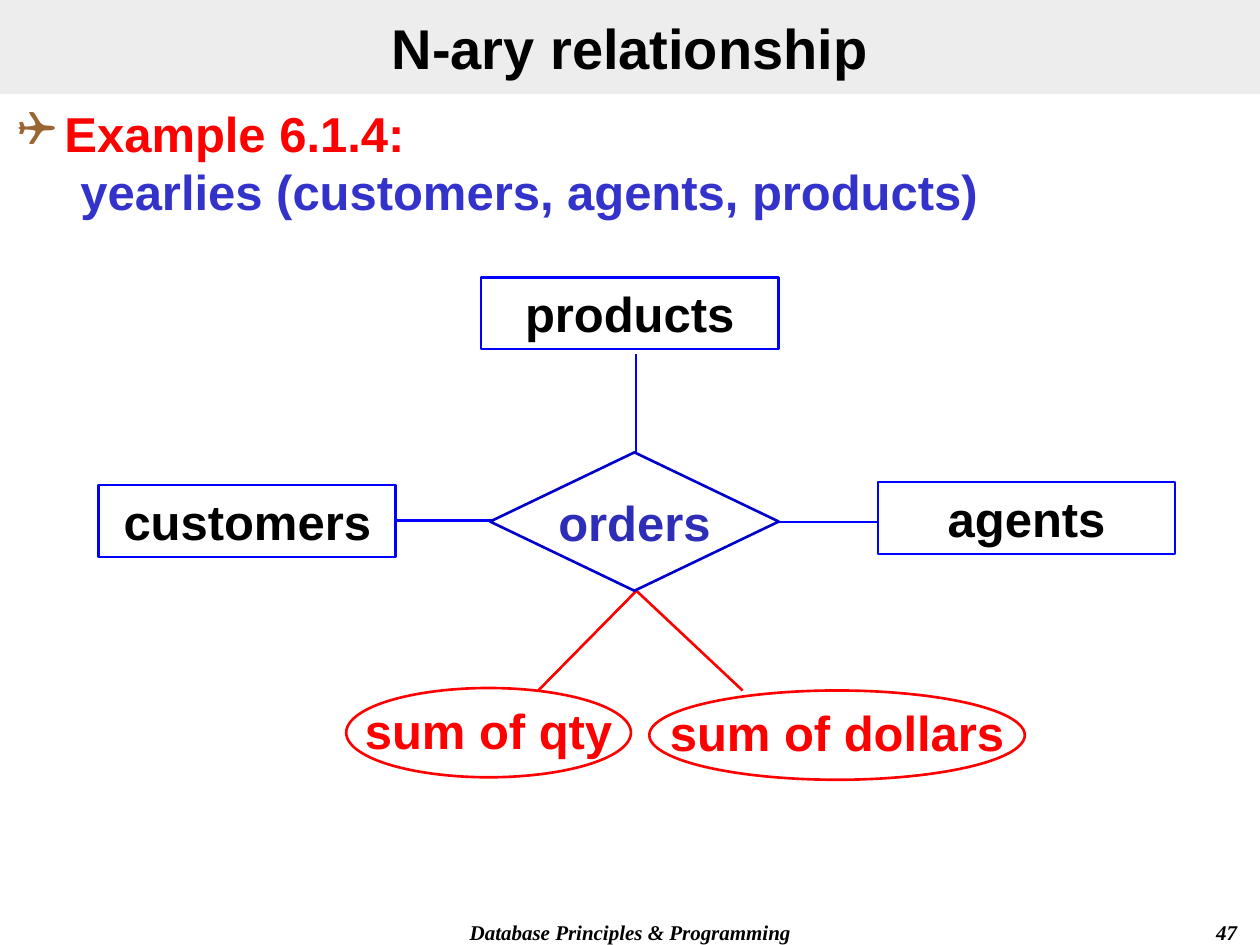
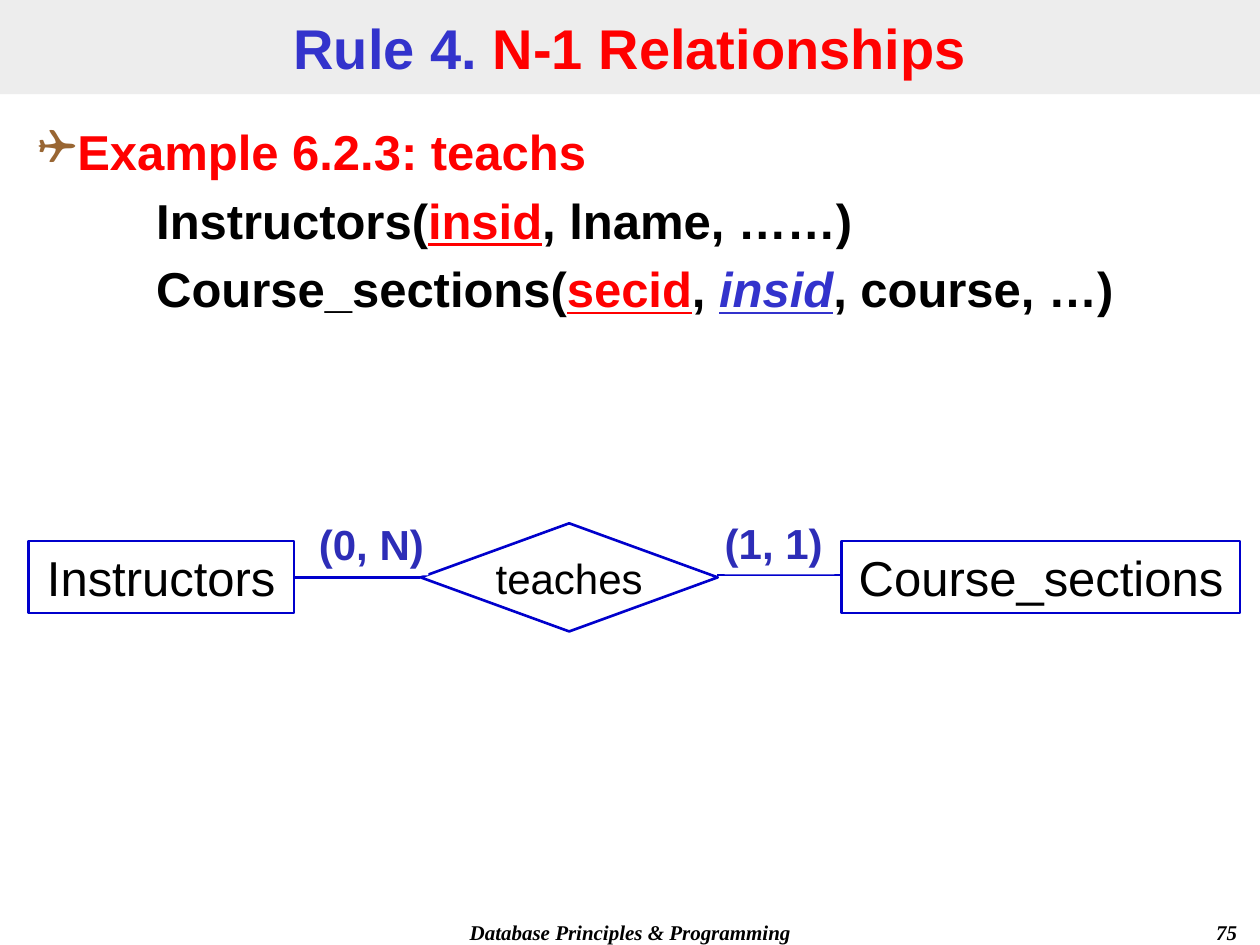
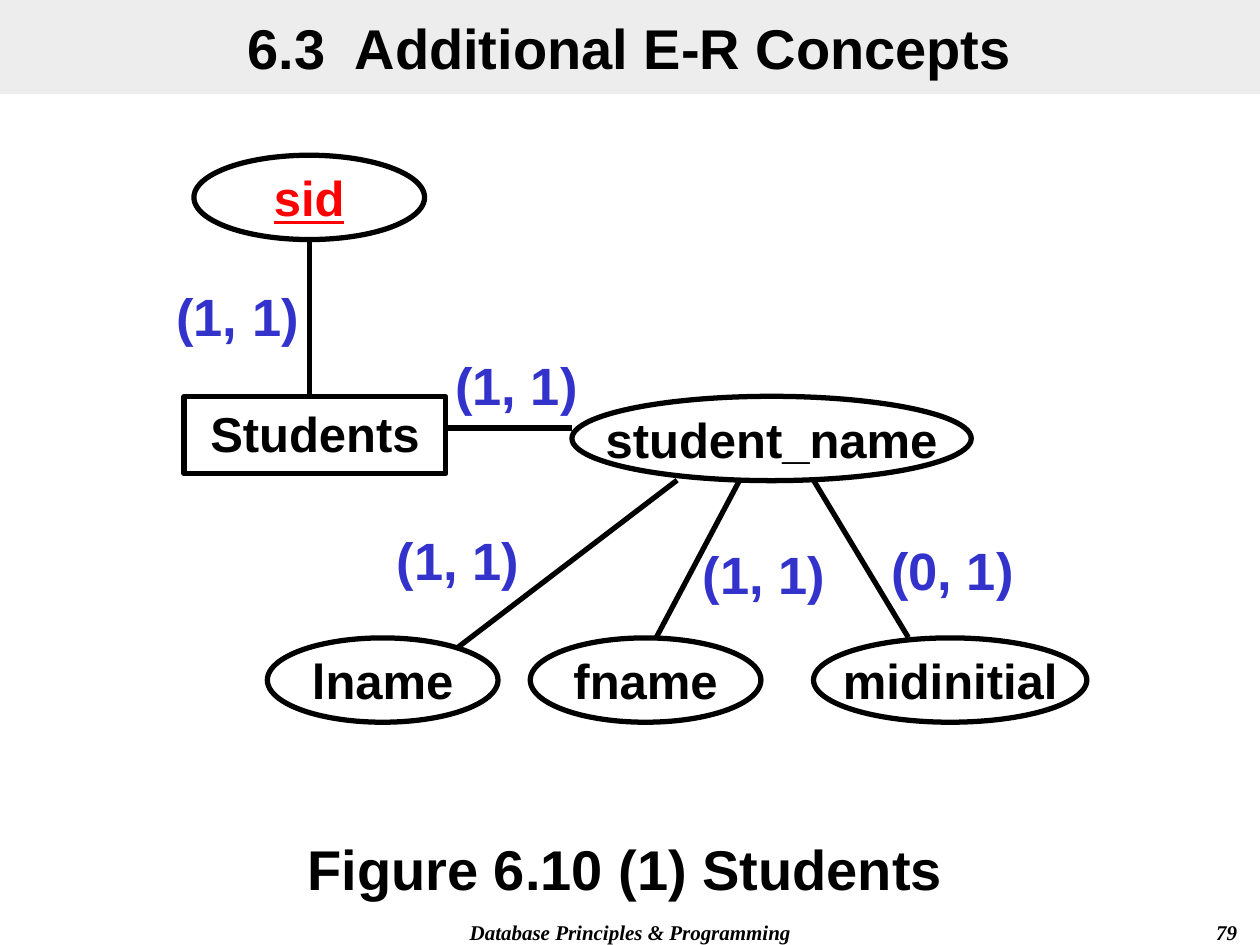
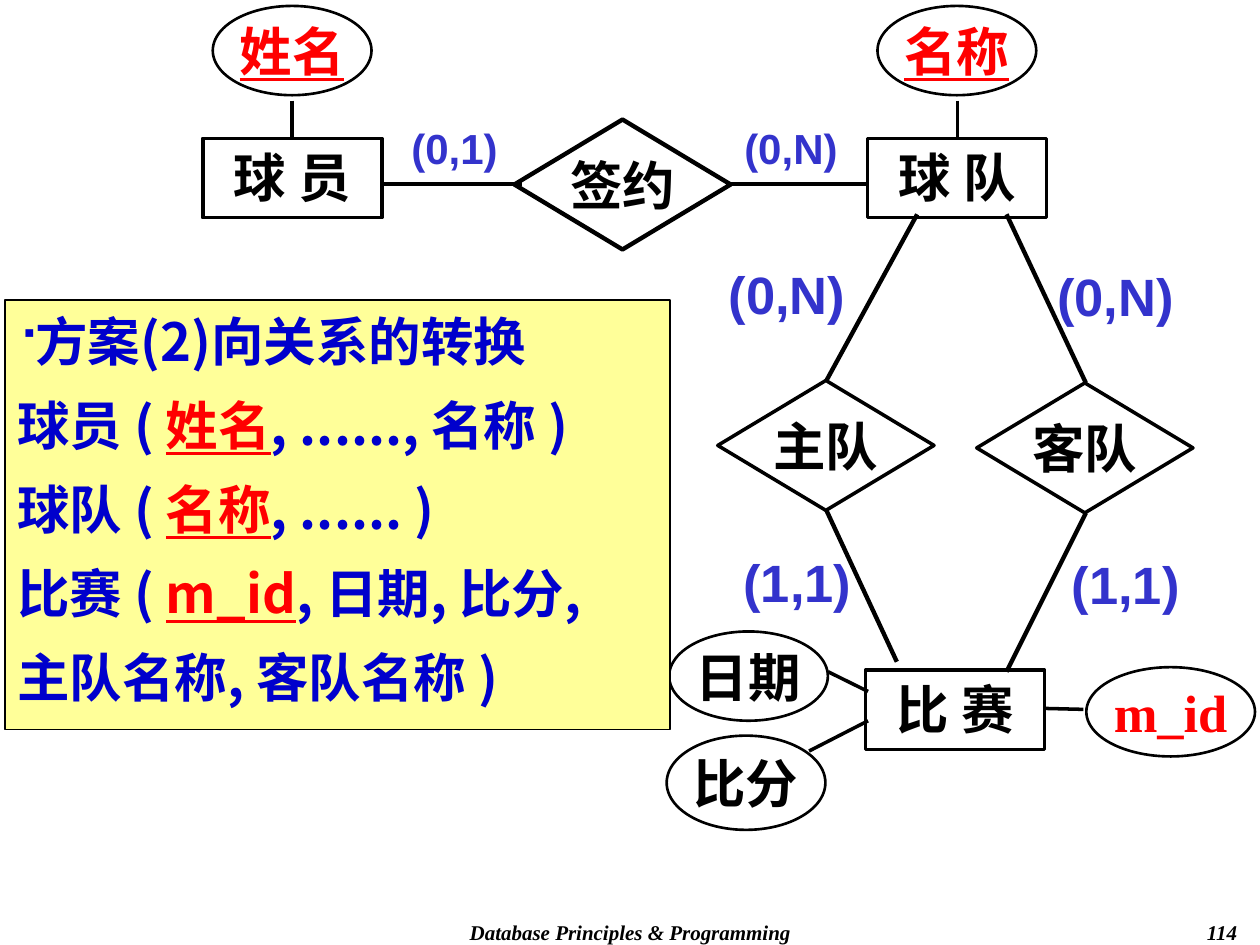
from dataclasses import dataclass, replace

from lxml.etree import SubElement
from pptx import Presentation
from pptx.dml.color import RGBColor
from pptx.enum.shapes import MSO_CONNECTOR, MSO_SHAPE as SHAPE
from pptx.enum.text import MSO_ANCHOR as ANCHOR, PP_ALIGN as ALIGN
from pptx.oxml.ns import qn
from pptx.util import Cm, Pt

BLACK = RGBColor(0x00, 0x00, 0x00)
WHITE = RGBColor(0xFF, 0xFF, 0xFF)
RED = RGBColor(0xFF, 0x00, 0x00)
BLUE = RGBColor(0x00, 0x00, 0xFF)
NAVY = RGBColor(0x00, 0x00, 0xCC)
INDIGO = RGBColor(0x33, 0x33, 0xCC)
VIOLET = RGBColor(0x2D, 0x2D, 0xB7)
BROWN = RGBColor(0x99, 0x66, 0x33)
GREY = RGBColor(0xDD, 0xDD, 0xDD)
YELLOW = RGBColor(0xFF, 0xFF, 0x99)

SANS, SERIF, CJK = "Arial", "Times New Roman", "Noto Sans CJK SC"
BULLET_FONT = "Wingdings"
FOOTER = "Database Principles & Programming"
NO_INSET = (0, 0, 0)


@dataclass(frozen=True)
class Style:
    """Look and size (cm) of one kind of box; preset None means a text box."""
    width: float
    height: float
    preset: object = None
    line: object = None
    weight: float = 1.5
    fill: object = None
    alpha: int = 100
    size: int = 28
    color: object = BLACK
    font: str = SANS
    bold: bool = True
    italic: bool = False
    underline: bool = False
    align: object = ALIGN.CENTER
    anchor: object = ANCHOR.MIDDLE
    wrap: bool = False
    inset: tuple = (0.25, 0.13, 0.13)  # sides, top, bottom


@dataclass(frozen=True)
class Line:
    """One paragraph: its runs, each (text, changes to the style), and its indents."""
    runs: list
    left: float = 0
    first: float = 0
    before: float = 0
    bullet: str = ""
    bullet_color: object = None


TITLE = Style(25.4, 1.9, SHAPE.RECTANGLE, fill=GREY, alpha=50, size=32)
FOOT = Style(11, 0.64, size=12, font=SERIF, italic=True, anchor=ANCHOR.TOP)
NUMBER = replace(FOOT, width=5.28, align=ALIGN.RIGHT)
BODY = Style(25.2, 2.64, align=ALIGN.LEFT, anchor=ANCHOR.TOP, wrap=True)
KEY = {"color": RED, "underline": True}

# Orders: a relationship of three entities
ENTITY = Style(5.99, 1.45, SHAPE.RECTANGLE, BLUE)
ORDERS = Style(5.82, 2.79, SHAPE.DIAMOND, NAVY, fill=WHITE, color=VIOLET)
SUM = Style(5.74, 1.8, SHAPE.OVAL, RED, fill=WHITE, color=RED, inset=(0.25, 0, 0.13))

# Teaches: plain names, cardinalities above the lines
TEACHER = Style(5.36, 1.45, SHAPE.RECTANGLE, NAVY, bold=False)
SECTION = replace(TEACHER, width=8.03)
TEACHES = Style(5.99, 2.18, SHAPE.DIAMOND, NAVY, size=24, bold=False, inset=NO_INSET)
RANGE = Style(2.21, 1.27, SHAPE.RECTANGLE, fill=WHITE, size=24, color=VIOLET,
              align=ALIGN.LEFT, wrap=True, inset=NO_INSET)

# Students: attributes in heavy outlines
STUDENTS = Style(5.28, 1.55, SHAPE.RECTANGLE, BLACK, 3, anchor=ANCHOR.TOP)
ATTRIBUTE = Style(4.65, 1.7, SHAPE.OVAL, BLACK, 3)
PAIR = Style(3.38, 1.55, size=30, color=INDIGO, anchor=ANCHOR.TOP)
CAPTION = Style(21.79, 1.63, size=32)

# Teams and matches
TEAM = Style(3.61, 1.6, SHAPE.RECTANGLE, BLACK, 2, size=30, font=SERIF, anchor=ANCHOR.TOP)
FIELD = Style(3.2, 1.8, SHAPE.OVAL, BLACK, size=30, font=SERIF, inset=NO_INSET)
TEAM_KEY = replace(FIELD, **KEY)
ROLE = Style(4.36, 2.62, SHAPE.DIAMOND, BLACK, 2, size=30, font=SERIF, inset=NO_INSET)
COUNT = Style(2.39, 1.27, size=30, color=INDIGO, inset=NO_INSET)
SMALL_COUNT = replace(COUNT, width=1.91, height=1.02, size=24)
PANEL = Style(13.41, 8.66, SHAPE.RECTANGLE, BLACK, 0.75, YELLOW, size=30, color=NAVY,
              font=CJK, align=ALIGN.LEFT, anchor=ANCHOR.TOP, wrap=True,
              inset=(0.25, 0.18, 0.13))

RELATION_ROWS = [
    [("球员 ( ", {}), ("姓名", KEY), (", ......, 名称 )", {})],
    [("球队 ( ", {}), ("名称", KEY), (", ...... )", {})],
    [("比赛 ( ", {}), ("m_id", KEY), (", 日期, 比分,", {})],
    [("主队名称, 客队名称 )", {})],
]
SCHEMA_ROWS = [
    [("Instructors(", {}), ("insid", KEY), (", lname, ……)", {})],
    [("Course_sections(", {}), ("secid", KEY), (", ", {}),
     ("insid", {"color": INDIGO, "italic": True, "underline": True}),
     (", course, …)", {})],
]

# boxes: (style, text or lines, left, top); lines: (color, weight, [(x1, y1, x2, y2)])
SLIDES = [
    {
        "number": 47,
        "title": [("N-ary relationship", {})],
        "lines": [
            (BLUE, 1.5, [(7.98, 10.49, 9.98, 10.49), (15.7, 10.52, 17.7, 10.52),
                         (12.82, 9.12, 12.82, 7.13)]),
            (RED, 1.5, [(12.83, 11.91, 14.97, 13.92), (12.83, 11.91, 10.85, 13.92)]),
        ],
        "boxes": [
            (BODY, [
                Line([("Example 6.1.4:", {"color": RED})], 0.95, -0.95,
                     bullet="❑", bullet_color=BROWN),
                Line([("yearlies (customers, agents, products)", {"color": INDIGO})], 1.27),
            ], 0.1, 1.95),
            (ENTITY, "products", 9.7, 5.59),
            (ENTITY, "customers", 1.99, 9.78),
            (ENTITY, "agents", 17.7, 9.72),
            (ORDERS, "orders", 9.88, 9.12),
            (SUM, "sum of qty", 6.98, 13.87),
            (replace(SUM, width=7.57), "sum of dollars", 13.09, 13.92),
        ],
    },
    {
        "number": 75,
        "title": [("Rule 4. ", {"color": INDIGO}), ("N-1 Relationships", {"color": RED})],
        "lines": [(NAVY, 1.5, [(5.94, 11.64, 8.46, 11.64), (14.45, 11.59, 16.99, 11.59)])],
        "boxes": [
            (replace(BODY, width=24.64, height=4.32), [
                Line([("Example 6.2.3: teachs", {"color": RED})], 0.95, -0.8,
                     bullet="❑", bullet_color=BROWN),
                *(Line(row, 2.54, before=5.6) for row in SCHEMA_ROWS),
            ], 0.36, 2.32),
            (TEACHER, "Instructors", 0.57, 10.91),
            (SECTION, "Course_sections", 16.97, 10.91),
            (TEACHES, "teaches", 8.48, 10.55),
            (RANGE, "(0, N)", 6.43, 10.33),
            (RANGE, "(1, 1)", 14.61, 10.31),
        ],
    },
    {
        "number": 79,
        "title": [("6.3  Additional E-R Concepts", {})],
        "lines": [(BLACK, 3, [
            (6.24, 4.83, 6.24, 8), (11.53, 8.63, 8.99, 8.63), (13.65, 9.68, 9.19, 13.08),
            (14.91, 9.68, 13.23, 12.85), (16.4, 9.68, 18.31, 12.85)])],
        "boxes": [
            (STUDENTS, "Students", 3.71, 8),
            (replace(ATTRIBUTE, **KEY), "sid", 3.91, 3.13),
            (replace(ATTRIBUTE, width=8.05), "student_name", 11.53, 7.99),
            (ATTRIBUTE, "lname", 5.39, 12.86),
            (ATTRIBUTE, "fname", 10.69, 12.86),
            (replace(ATTRIBUTE, width=5.51), "midinitial", 16.4, 12.86),
            (CAPTION, "Figure 6.10 (1) Students", 1.71, 16.69),
            (PAIR, "(1, 1)", 3.1, 5.59),
            (PAIR, "(1, 1)", 8.72, 6.99),
            (PAIR, "(1, 1)", 7.54, 10.51),
            (PAIR, "(1, 1)", 13.71, 10.79),
            (PAIR, "(0, 1)", 17.51, 10.72),
        ],
    },
    {
        "number": 114,
        "title": None,
        "lines": [
            (BLACK, 2, [
                (5.89, 2.03, 5.89, 2.82), (19.3, 2.03, 19.3, 2.82),
                (21.03, 14.28, 21.84, 14.3), (16.69, 13.54, 17.5, 13.94),
                (16.31, 15.14, 17.5, 14.53)]),
            (BLACK, 2.5, [
                (7.72, 3.71, 10.52, 3.71), (14.71, 3.71, 17.5, 3.71),
                (20.29, 4.32, 21.89, 7.72), (20.29, 13.54, 21.89, 10.34),
                (18.49, 4.32, 16.66, 7.67), (18.08, 13.34, 16.66, 10.29)]),
        ],
        "boxes": [
            (TEAM, "球 员", 4.09, 2.79),
            (TEAM, "球 队", 17.49, 2.79),
            (TEAM, "比 赛", 17.45, 13.51),
            (TEAM_KEY, "姓名", 4.29, 0.12),
            (TEAM_KEY, "名称", 17.69, 0.12),
            (FIELD, "日期", 13.49, 12.73),
            (replace(FIELD, height=1.9), "比分", 13.44, 14.83),
            (replace(FIELD, width=3.4, color=RED), "m_id", 21.9, 13.45),
            (replace(ROLE, weight=2.5), "签约", 10.37, 2.41),
            (ROLE, "主队", 14.47, 7.67),
            (ROLE, "客队", 19.69, 7.72),
            (SMALL_COUNT, "(0,1)", 8.21, 2.46),
            (SMALL_COUNT, "(0,N)", 14.99, 2.46),
            (COUNT, "(0,N)", 14.67, 5.28),
            (COUNT, "(0,N)", 21.29, 5.33),
            (COUNT, "(1,1)", 14.88, 11.08),
            (COUNT, "(1,1)", 21.5, 11.13),
            (PANEL, [
                Line([("方案(2)向关系的转换", {})], bullet="■"),
                *(Line(row, before=12) for row in RELATION_ROWS),
            ], 0.1, 6.05),
        ],
    },
]


def add_span(para, text, style):
    span = para.add_run()
    span.text = text
    font = span.font
    font.name, font.size = style.font, Pt(style.size)
    font.bold, font.italic, font.underline = style.bold, style.italic, style.underline
    font.color.rgb = style.color
    SubElement(span.font._element, qn("a:ea"), typeface=CJK)


def format_paragraph(para, line, style):
    para.alignment = style.align
    para.space_before = Pt(line.before)
    props = para._p.get_or_add_pPr()
    props.set("marL", str(Cm(line.left)))
    props.set("indent", str(Cm(line.first)))
    if line.bullet_color:
        color = SubElement(props, qn("a:buClr"))
        SubElement(color, qn("a:srgbClr"), val=str(line.bullet_color))
    if line.bullet:
        SubElement(props, qn("a:buFont"), typeface=BULLET_FONT)
        SubElement(props, qn("a:buChar"), char=line.bullet)
    else:
        SubElement(props, qn("a:buNone"))


def paint(box, style):
    box.shadow.inherit = False
    if style.fill is None:
        box.fill.background()
    else:
        box.fill.solid()
        box.fill.fore_color.rgb = style.fill
        if style.alpha < 100:
            color = box.fill._xPr.find(f"{qn('a:solidFill')}/{qn('a:srgbClr')}")
            SubElement(color, qn("a:alpha"), val=str(style.alpha * 1000))
    if style.line is None:
        box.line.fill.background()
    else:
        box.line.color.rgb = style.line
        box.line.width = Pt(style.weight)


def add_box(page, style, content, left, top):
    place = [Cm(length) for length in (left, top, style.width, style.height)]
    if style.preset is None:
        box = page.shapes.add_textbox(*place)
    else:
        box = page.shapes.add_shape(style.preset, *place)
        paint(box, style)
    frame = box.text_frame
    frame.word_wrap = style.wrap
    frame.vertical_anchor = style.anchor
    side, frame.margin_top, frame.margin_bottom = (Cm(inset) for inset in style.inset)
    frame.margin_left = frame.margin_right = side
    lines = [Line([(content, {})])] if isinstance(content, str) else content
    for index, line in enumerate(lines):
        para = frame.add_paragraph() if index else frame.paragraphs[0]
        format_paragraph(para, line, style)
        for text, changes in line.runs:
            add_span(para, text, replace(style, **changes))


def add_line(page, color, weight, ends):
    line = page.shapes.add_connector(MSO_CONNECTOR.STRAIGHT, *(Cm(end) for end in ends))
    line.line.color.rgb = color
    line.line.width = Pt(weight)
    SubElement(line._element.spPr, qn("a:effectLst"))


def add_page(deck, content):
    page = deck.slides.add_slide(deck.slide_layouts[6])
    add_box(page, FOOT, FOOTER, 7.21, 18.4)
    add_box(page, NUMBER, str(content["number"]), 19.91, 18.4)
    if content["title"]:
        add_box(page, TITLE, [Line(content["title"])], 0, 0)
    for color, weight, group in content["lines"]:
        for ends in group:
            add_line(page, color, weight, ends)
    for box in content["boxes"]:
        add_box(page, *box)


def main():
    deck = Presentation()
    deck.slide_width, deck.slide_height = Cm(25.4), Cm(19.05)
    for content in SLIDES:
        add_page(deck, content)
    deck.save("out.pptx")


if __name__ == "__main__":
    main()
